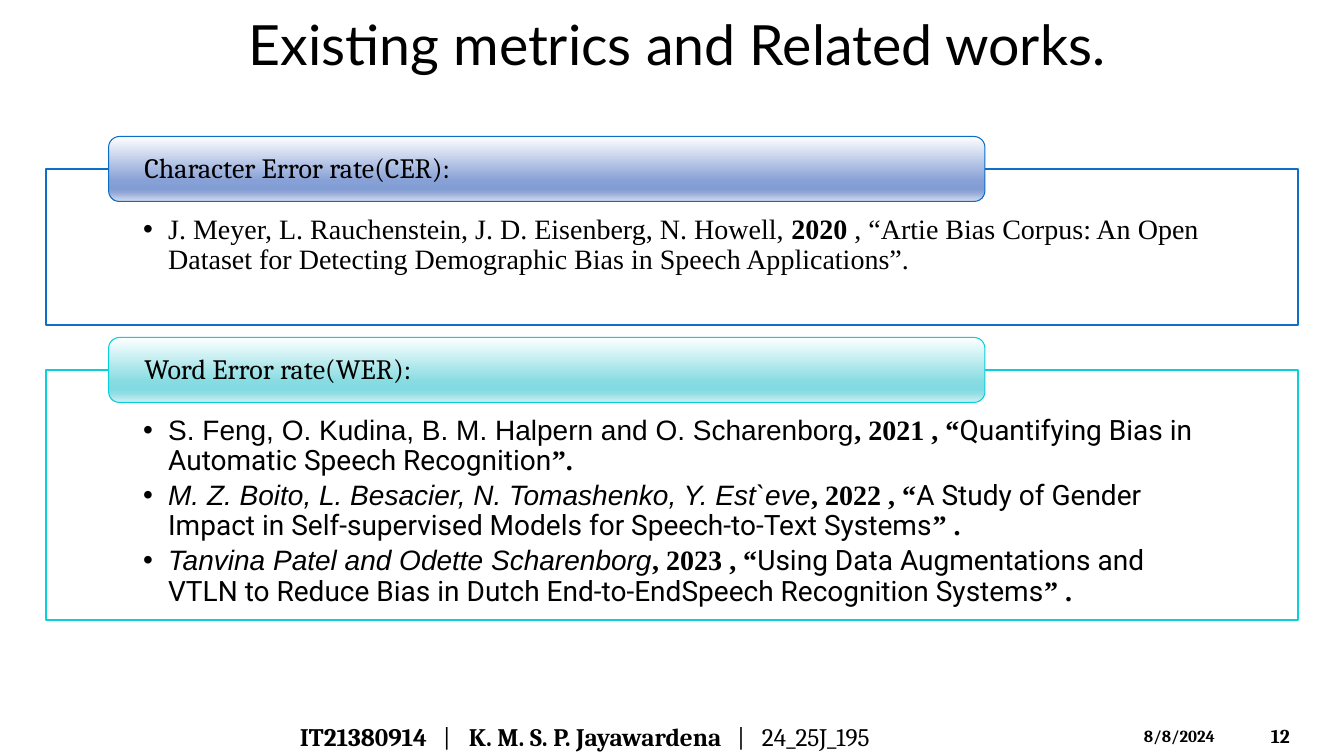
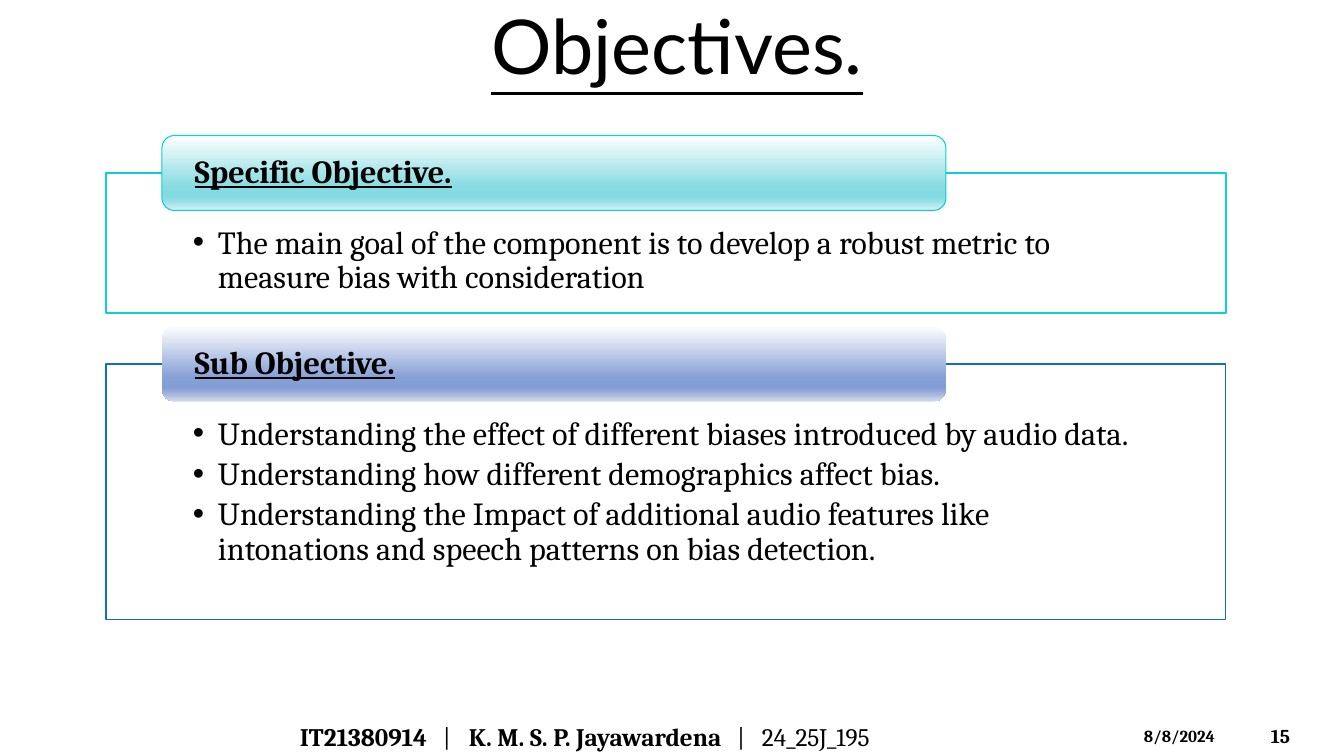
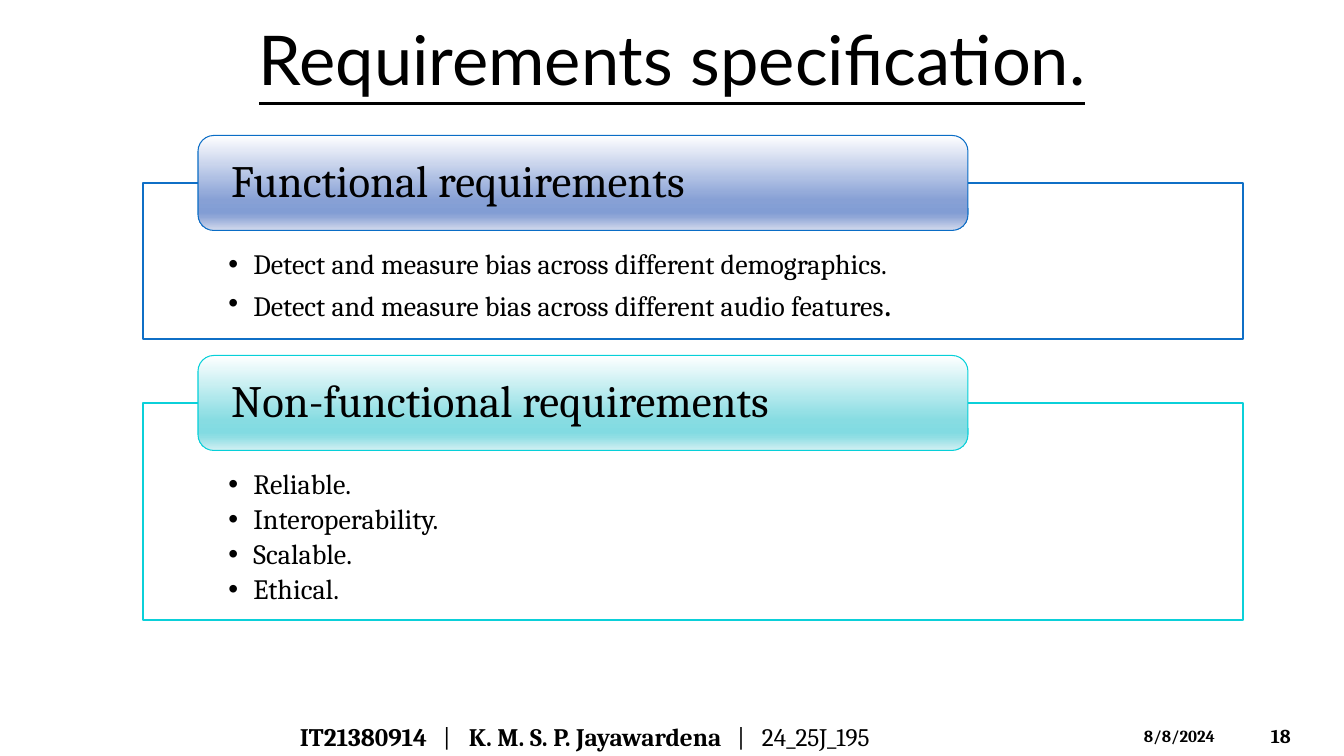
from lxml.etree import SubElement
from pptx import Presentation
from pptx.dml.color import RGBColor
from pptx.enum.shapes import MSO_SHAPE
from pptx.enum.text import MSO_ANCHOR, MSO_AUTO_SIZE, PP_ALIGN
from pptx.oxml.ns import qn
from pptx.util import Pt

EMU_PER_PX = 914400 / 100.8
SLIDE_W, SLIDE_H = 1344, 756
BLACK, WHITE = "000000", "FFFFFF"
HEAD_FONT, BODY_FONT = "Lato", "Cambria"
GRADIENT_STOPS = (0, 68, 81, 86, 100)
BLUE = dict(frame="0F6FC6", edge="0A6DC6",
            stops=("FEFEFF", "87A0D5", "829DD4", "91A7D7", "D4DBED"))
TEAL = dict(frame="0BD0D9", edge="06D0D9",
            stops=("FEFFFF", "87DCE2", "82DBE2", "90DEE4", "D3F0F3"))

FOOTER_TABS = ((147, "ctr"), (169, "l"), (441, "ctr"), (462, "l"))
FOOTER_RUNS = [("IT21380914", dict(bold=True)), "\t|\t",
               ("K. M. S. P. Jayawardena", dict(bold=True)), "\t|\t24_25J_195"]

TIMES = dict(name="Times New Roman")
TIMES_BOLD = dict(TIMES, bold=True)
ARIAL = dict(name="Arial")
ROBOTO = dict(name="Roboto")


def citation(authors, year, work, end, **author_format):
    return [(authors, dict(ARIAL, **author_format)), (f", {year} , “", TIMES_BOLD),
            (work, ROBOTO), (end, TIMES_BOLD)]


SLIDES = [
    dict(
        page="12",
        title=dict(text="Existing metrics and Related works.", size=39.6,
                   underline=False, center=(677, 43)),
        cards=dict(left=46, width=1252, tab_h=65),
        tab_font=dict(size=20), body_size=20,
        items=[
            (BLUE, 169, 156, "Character Error rate(CER):", [
                [("J. Meyer, L. Rauchenstein, J. D. Eisenberg, N. Howell,", TIMES),
                 (" 2020 ", TIMES_BOLD),
                 (", “Artie Bias Corpus: An Open Dataset for Detecting Demographic "
                  "Bias in Speech Applications”.", TIMES)]]),
            (TEAL, 370, 250, "Word Error rate(WER):", [
                citation("S. Feng, O. Kudina, B. M. Halpern and O. Scharenborg", 2021,
                         "Quantifying Bias in Automatic Speech Recognition", "”."),
                citation("M. Z. Boito, L. Besacier, N. Tomashenko, Y. Est`eve", 2022,
                         "A Study of Gender Impact in Self-supervised Models for "
                         "Speech-to-Text Systems", "” .", italic=True),
                citation("Tanvina Patel and Odette Scharenborg", 2023,
                         "Using Data Augmentations and VTLN to Reduce Bias in Dutch "
                         "End-to-EndSpeech Recognition Systems", "” .", italic=True)]),
        ]),
    dict(
        page="15",
        title=dict(text="Objectives.", size=54, underline=True, center=(677, 44)),
        cards=dict(left=106, width=1120, tab_h=75),
        tab_font=dict(size=23, bold=True, underline=True), body_size=23,
        items=[
            (TEAL, 173, 140, "Specific Objective.", [
                ["The main goal of the component is to develop a robust metric to "
                 "measure bias with consideration"]]),
            (dict(BLUE, edge=None, frame_pt=0.75), 364, 256, "Sub Objective.", [
                ["Understanding the effect of different biases introduced by audio data."],
                ["Understanding how different demographics affect bias."],
                ["Understanding the Impact of additional audio features like "
                 "intonations and speech patterns on bias detection."]]),
        ]),
    dict(
        page="18",
        title=dict(text="Requirements specification.", size=49, underline=True,
                   center=(672, 58)),
        cards=dict(left=143, width=1100, tab_h=95),
        tab_font=dict(size=32), body_size=20,
        items=[
            (BLUE, 183, 156, "Functional requirements", [
                ["Detect and measure bias across different demographics."],
                ["Detect and measure bias across different audio features",
                 (".", dict(size=26))]]),
            (TEAL, 403, 217, "Non-functional requirements", [
                ["Reliable."], ["Interoperability."], ["Scalable."], ["Ethical."]]),
        ]),
]


def px(n):
    return round(n * EMU_PER_PX)


def rgb(color):
    return RGBColor.from_string(color)


def place(shape, x, y, w, h):
    for name, value in dict(left=x, top=y, width=w, height=h).items():
        setattr(shape, name, px(value))


def set_frame(shape, anchor, insets=(10, 5, 10, 5)):
    """Fix wrapping, anchor and margins (left, top, right, bottom)."""
    tf = shape.text_frame
    tf.word_wrap, tf.auto_size, tf.vertical_anchor = True, MSO_AUTO_SIZE.NONE, anchor
    for side, inset in zip(("left", "top", "right", "bottom"), insets):
        setattr(tf, f"margin_{side}", px(inset))
    return tf


def add_runs(p, runs, **base):
    """Add runs given as text or (text, format), each over the base format."""
    for run in runs:
        text, extra = (run, {}) if isinstance(run, str) else run
        r = p.add_run()
        r.text = text
        for key, value in {"name": BODY_FONT, **base, **extra}.items():
            setattr(r.font, key, Pt(value) if key == "size" else value)
        r.font.color.rgb = rgb(BLACK)


def set_line(shape, color, width=0.75):
    if color is None:
        shape.line.fill.background()
    else:
        shape.line.color.rgb = rgb(color)
        shape.line.width = Pt(width)


def set_gradient(shape, colors):
    shape.fill.gradient()
    shape.fill.gradient_angle = 270
    stops = shape._element.spPr.find(qn("a:gradFill")).find(qn("a:gsLst"))
    for gs in list(stops):
        stops.remove(gs)
    for pos, color in zip(GRADIENT_STOPS, colors):
        gs = SubElement(stops, qn("a:gs"), pos=str(pos * 1000))
        SubElement(gs, qn("a:srgbClr"), val=color)


def add_text(s, x, y, w, h, runs, anchor=MSO_ANCHOR.MIDDLE, tabs=(), **base):
    box = s.shapes.add_textbox(px(x), px(y), px(w), px(h))
    p = set_frame(box, anchor).paragraphs[0]
    if tabs:
        tab_list = SubElement(p._p.get_or_add_pPr(), qn("a:tabLst"))
        for pos, align in tabs:
            SubElement(tab_list, qn("a:tab"), pos=str(px(pos)), algn=align)
    add_runs(p, runs, **base)


def set_title(s, text, size, underline, center):
    w, h = SLIDE_W - 2 * abs(SLIDE_W / 2 - center[0]), 84
    title = s.shapes.title
    place(title, center[0] - w / 2, center[1] - h / 2, w, h)
    p = set_frame(title, MSO_ANCHOR.MIDDLE, (10, 0, 10, 0)).paragraphs[0]
    p.alignment = PP_ALIGN.CENTER
    add_runs(p, [text], name=HEAD_FONT, size=size, underline=underline)


def fill_card(body, theme, x, y, w, h, tab_h, bullets, size):
    """Turn a body placeholder into an outlined card with a bullet list."""
    place(body, x, y, w, h)
    body.fill.solid()
    body.fill.fore_color.rgb = rgb(WHITE)
    set_line(body, theme["frame"], theme.get("frame_pt", 2))
    side = w * 0.0776
    tf = set_frame(body, MSO_ANCHOR.TOP, (side, tab_h * 0.71, side, 16))
    for i, runs in enumerate(bullets):
        p = tf.add_paragraph() if i else tf.paragraphs[0]
        pPr = p._p.get_or_add_pPr()
        pPr.set("marL", str(px(25)))
        pPr.set("indent", str(px(-25)))
        SubElement(pPr, qn("a:buChar"), char="•")
        p.line_spacing, p.space_before, p.space_after = 0.9, Pt(0), Pt(size * 0.17)
        add_runs(p, runs, size=size)


def add_tab(s, theme, frame_x, frame_y, frame_w, tab_h, text, font):
    """Add the heading tab, centred on the top edge of its card."""
    tab = s.shapes.add_shape(
        MSO_SHAPE.ROUNDED_RECTANGLE, px(frame_x + frame_w * 0.05),
        px(frame_y - tab_h / 2), px(frame_w * 0.7), px(tab_h))
    tab.shadow.inherit = False
    set_gradient(tab, theme["stops"])
    set_line(tab, theme["edge"])
    inset = frame_w * 0.026
    p = set_frame(tab, MSO_ANCHOR.MIDDLE, (inset, 0, inset, 0)).paragraphs[0]
    p.alignment, p.line_spacing = PP_ALIGN.LEFT, 0.9
    add_runs(p, [text], **font)


def add_footer(s, page):
    add_text(s, 290, 716, 751, 40, FOOTER_RUNS, tabs=FOOTER_TABS, size=18)
    add_text(s, 1134, 721, 118, 30, ["8/8/2024"], MSO_ANCHOR.TOP, size=12, bold=True)
    add_text(s, 1261, 716, 75, 40, [page], size=14, bold=True)


def add_slide(prs, page, title, cards, tab_font, body_size, items):
    s = prs.slides.add_slide(prs.slide_layouts.get_by_name("Two Content"))
    set_title(s, **title)
    x, w, tab_h = cards["left"], cards["width"], cards["tab_h"]
    for idx, (theme, y, h, heading, bullets) in enumerate(items, 1):
        fill_card(s.placeholders[idx], theme, x, y, w, h, tab_h, bullets, body_size)
        add_tab(s, theme, x, y, w, tab_h, heading, tab_font)
    add_footer(s, page)


def main():
    prs = Presentation()
    prs.slide_width, prs.slide_height = px(SLIDE_W), px(SLIDE_H)
    for slide in SLIDES:
        add_slide(prs, **slide)
    prs.save("out.pptx")


if __name__ == "__main__":
    main()
